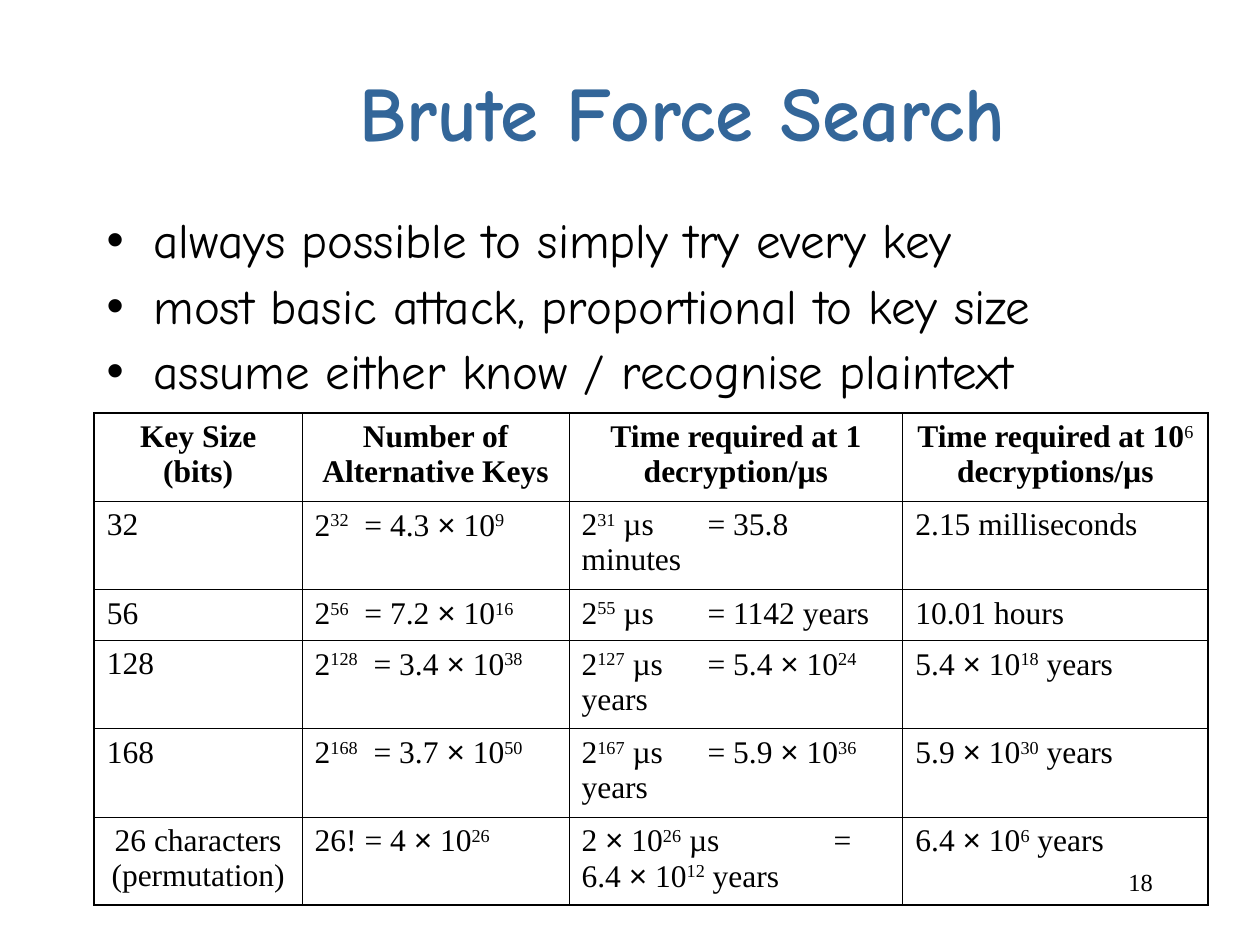
from lxml.etree import SubElement
from pptx import Presentation
from pptx.dml.color import RGBColor
from pptx.enum.text import MSO_ANCHOR, PP_ALIGN
from pptx.oxml.ns import qn
from pptx.util import Cm, Pt

BLUE = RGBColor(0x33, 0x66, 0x99)
BLACK = RGBColor(0, 0, 0)
COMIC = "Comic Neue"
TIMES = "Times New Roman"


def add_run(para, text, face, size, color=BLACK, bold=False):
    run = para.add_run()
    run.text = text
    run.font.name = face
    run.font.size = Pt(size)
    run.font.color.rgb = color
    run.font.bold = bold
    return run


def add_box(left, top, width, height):
    box = slide.shapes.add_textbox(Cm(left), Cm(top), Cm(width), Cm(height))
    frame = box.text_frame
    frame.word_wrap = True
    return frame


deck = Presentation()
deck.slide_width = Cm(25.4)
deck.slide_height = Cm(19.05)
slide = deck.slides.add_slide(deck.slide_layouts[6])

title = add_box(2.97, 0.64, 21.59, 3.18)
title.vertical_anchor = MSO_ANCHOR.MIDDLE
title.paragraphs[0].alignment = PP_ALIGN.CENTER
add_run(title.paragraphs[0], "Brute Force Search", COMIC, 44, BLUE, True)

points = [
    "always possible to simply try every key",
    "most basic attack, proportional to key size",
    "assume either know / recognise plaintext",
]
body = add_box(1.9, 4.24, 21.59, 5.56)
for i, point in enumerate(points):
    para = body.add_paragraph() if i else body.paragraphs[0]
    para.line_spacing = 0.9
    para.space_before = Pt(7 if i else 0)
    props = para._p.get_or_add_pPr()
    props.set("marL", str(Cm(0.95)))
    props.set("indent", str(Cm(-0.95)))
    SubElement(props, qn("a:buFont"), typeface="Arial")
    SubElement(props, qn("a:buChar"), char="•")
    add_run(para, point, COMIC, 28)

rows = [
    ["Key Size (bits)", "Number of Alternative Keys",
     "Time required at 1 decryption/µs", "Time required at 10^6^ decryptions/µs"],
    ["32", "2^32^  = 4.3 × 10^9^", "2^31^ µs\t= 35.8 minutes", "2.15 milliseconds"],
    ["56", "2^56^  = 7.2 × 10^16^", "2^55^ µs\t= 1142 years", "10.01 hours"],
    ["128", "2^128^  = 3.4 × 10^38^", "2^127^ µs\t= 5.4 × 10^24^ years",
     "5.4 × 10^18^ years"],
    ["168", "2^168^  = 3.7 × 10^50^", "2^167^ µs\t= 5.9 × 10^36^ years",
     "5.9 × 10^30^ years"],
    ["26 characters (permutation)", "26! = 4 × 10^26^",
     "2 × 10^26^ µs\t= 6.4 × 10^12^ years", "6.4 × 10^6^ years"],
]
widths = [4.19, 5.38, 6.73, 6.15]
heights = [1.78, 1.78, 1.02, 1.78, 1.78, 1.78]
last_row = len(rows) - 1
last_col = len(widths) - 1

table = slide.shapes.add_table(
    len(rows), len(widths), Cm(1.9), Cm(8.33), Cm(sum(widths)), Cm(sum(heights))
).table
table.first_row = False
table.horz_banding = False
for col, width in zip(table.columns, widths):
    col.width = Cm(width)
for row, height in zip(table.rows, heights):
    row.height = Cm(height)

for r, texts in enumerate(rows):
    for c, text in enumerate(texts):
        cell = table.cell(r, c)
        props = cell._tc.get_or_add_tcPr()
        outer = {"L": c == 0, "R": c == last_col, "T": r == 0, "B": r == last_row}
        for side, edge in outer.items():
            line = SubElement(props, qn("a:ln" + side), w=str(Pt(1.08 if edge else 0.45)))
            fill = SubElement(line, qn("a:solidFill"))
            SubElement(fill, qn("a:srgbClr"), val=str(BLACK))
        cell.fill.background()

        para = cell.text_frame.paragraphs[0]
        para.space_after = Pt(3)
        if r == 0 or (r == last_row and c == 0):
            para.alignment = PP_ALIGN.CENTER
        if "\t" in text:
            tabs = SubElement(para._p.get_or_add_pPr(), qn("a:tabLst"))
            for stop in (1, 2):
                SubElement(tabs, qn("a:tab"), pos=str(Cm(2.54 * stop)), algn="l")

        for n, part in enumerate(text.split("^")):
            power = n % 2 == 1
            for piece in part.partition("×"):
                if piece:
                    face = "Arial" if piece == "×" else TIMES
                    run = add_run(para, piece, face, 18, bold=r == 0 and not power)
                    if power:
                        run._r.get_or_add_rPr().set("baseline", "30000")

number = add_box(18.21, 17.35, 5.28, 1.27)
number.paragraphs[0].alignment = PP_ALIGN.RIGHT
add_run(number.paragraphs[0], "18", TIMES, 14)

deck.save("out.pptx")
